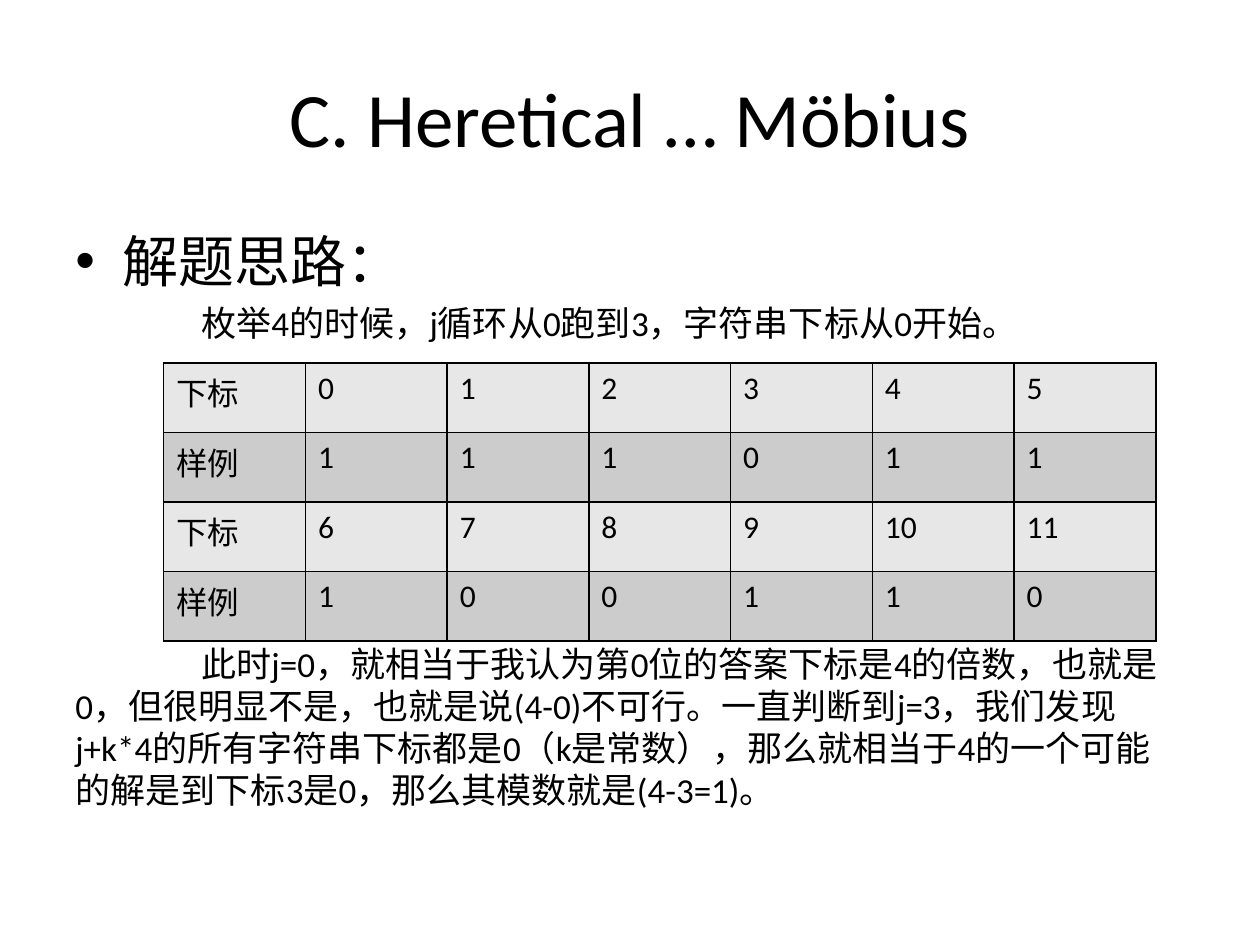
from lxml.etree import SubElement
from pptx import Presentation
from pptx.dml.color import RGBColor
from pptx.enum.text import MSO_ANCHOR as Anchor, PP_ALIGN as Align
from pptx.oxml.ns import qn
from pptx.util import Cm, Pt


def color(hex_string):
    return RGBColor.from_string(hex_string)


def add_run(paragraph, text, size):
    run = paragraph.add_run()
    run.text = text
    run.font.name = "Calibri"
    run.font.size = Pt(size)
    run.font.color.rgb = color("000000")


prs = Presentation()
prs.slide_width, prs.slide_height = Cm(25.4), Cm(19.05)
slide = prs.slides.add_slide(prs.slide_layouts[6])

# Title
title = slide.shapes.add_textbox(Cm(1.27), Cm(0.76), Cm(22.86), Cm(3.18)).text_frame
title.word_wrap = True
title.vertical_anchor = Anchor.MIDDLE
title.paragraphs[0].alignment = Align.CENTER
add_run(title.paragraphs[0], "C. Heretical … Möbius", 44)

# Explanation, with room for the table before the last paragraph
body = slide.shapes.add_textbox(Cm(1.27), Cm(4.45), Cm(22.86), Cm(12.57)).text_frame
body.word_wrap = True
heading = body.paragraphs[0]
heading.space_before = Pt(6.4)
heading_format = heading._p.get_or_add_pPr()
heading_format.set("marL", str(Cm(0.95)))
heading_format.set("indent", str(Cm(-0.95)))
SubElement(heading_format, qn("a:buFont")).set("typeface", "Arial")
SubElement(heading_format, qn("a:buChar")).set("char", "•")
add_run(heading, "解题思路：", 32)

explanation = [
    (4, "枚举4的时候，j循环从0跑到3，字符串下标从0开始。"),
    (171, "此时j=0，就相当于我认为第0位的答案下标是4的倍数，也就是0，"
          "但很明显不是，也就是说(4-0)不可行。一直判断到j=3，"
          "我们发现j+k*4的所有字符串下标都是0（k是常数），"
          "那么就相当于4的一个可能的解是到下标3是0，那么其模数就是(4-3=1)。"),
]
for gap, text in explanation:
    paragraph = body.add_paragraph()
    paragraph.space_before = Pt(gap)
    paragraph._p.get_or_add_pPr().set("indent", str(Cm(2.54)))
    add_run(paragraph, text, 20)

# Sample string by index
sample = [1, 1, 1, 0, 1, 1, 1, 0, 0, 1, 1, 0]
per_row = 6
rows = []
for start in range(0, len(sample), per_row):
    stop = start + per_row
    rows.append(["下标", *range(start, stop)])
    rows.append(["样例", *sample[start:stop]])

table = slide.shapes.add_table(
    len(rows), per_row + 1, Cm(3.3), Cm(7.32), Cm(20), Cm(5.6)).table
for row_number, values in enumerate(rows):
    for column, value in enumerate(values):
        cell = table.cell(row_number, column)
        add_run(cell.text_frame.paragraphs[0], str(value), 18)
        cell_format = cell._tc.get_or_add_tcPr()
        for side in ("lnL", "lnR", "lnT", "lnB"):
            border = SubElement(cell_format, qn(f"a:{side}"), w=str(Pt(1)))
            line_fill = SubElement(border, qn("a:solidFill"))
            SubElement(line_fill, qn("a:srgbClr"), val="000000")
        cell.fill.solid()
        cell.fill.fore_color.rgb = color("CCCCCC" if row_number % 2 else "E7E7E7")

prs.save("out.pptx")
